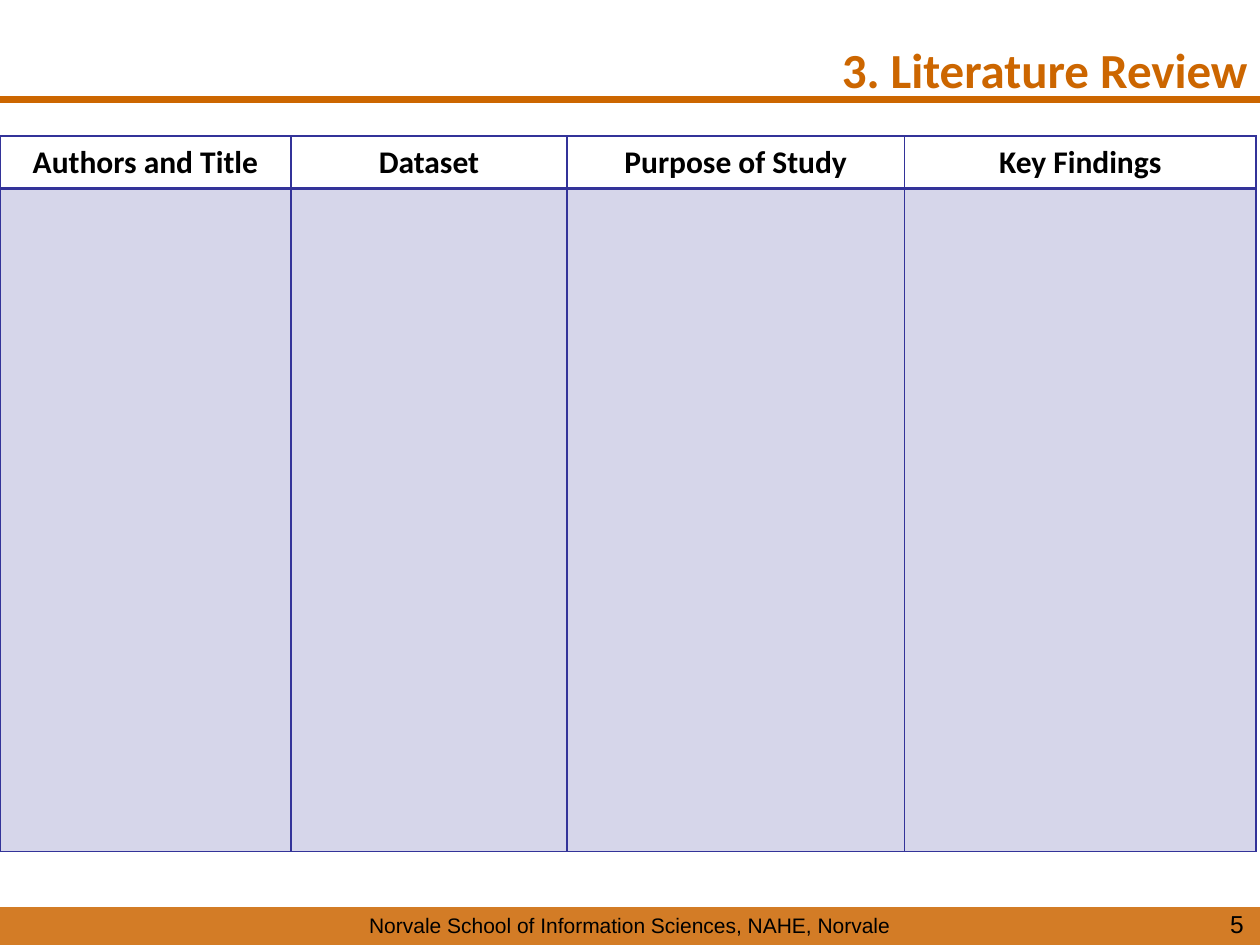
from dataclasses import dataclass

from lxml import etree
from pptx import Presentation
from pptx import util as u
from pptx.dml.color import RGBColor
from pptx.enum import shapes, text
from pptx.oxml.ns import qn


@dataclass(frozen=True)
class Theme:
    accent: str = "CC6600"
    grid: str = "333399"
    ink: str = "000000"
    heading_font: str = "Calibri"
    footer_font: str = "Arial"
    title_size: int = 28
    header_size: int = 18
    footer_size: int = 12
    number_size: int = 14
    rule_width: float = 4.5
    thin: int = 1
    thick: int = 2


THEME = Theme()
WIDTH, HEIGHT = 10, 7.5
FOOTER_TOP, FOOTER_HEIGHT = 0.96 * HEIGHT, 0.04 * HEIGHT
RULE_TOP = 0.79
TABLE_TOP = 1.08
COLUMNS = {
    "Authors and Title": 2.31,
    "Dataset": 2.19,
    "Purpose of Study": 2.68,
    "Key Findings": 2.79,
}
ROWS = (0.42, 5.26)


def color(value):
    return RGBColor.from_string(value)


def fill_solid(fill, value, alpha, parent):
    """Fill with a colour at the given opacity in percent."""
    fill.solid()
    fill.fore_color.rgb = color(value)
    srgb = parent.find(qn("a:solidFill")).find(qn("a:srgbClr"))
    etree.SubElement(srgb, qn("a:alpha"), val=str(alpha * 1000))


def write(frame, words, font, size, value, align, bold=False,
          anchor=text.MSO_ANCHOR.MIDDLE):
    frame.word_wrap = True
    frame.vertical_anchor = anchor
    paragraph = frame.paragraphs[0]
    paragraph.alignment = align
    run = paragraph.add_run()
    run.text = words
    run.font.name, run.font.size, run.font.bold = font, u.Pt(size), bold
    run.font.color.rgb = color(value)


def add_title(slide, words):
    title = slide.shapes.title
    title.left, title.top = u.Inches(0.05 * WIDTH), u.Inches(0.24)
    title.width, title.height = u.Inches(0.95 * WIDTH), u.Inches(0.42)
    frame = title.text_frame
    frame.auto_size = text.MSO_AUTO_SIZE.NONE
    frame.margin_top = u.Inches(0.07)
    write(frame, words, THEME.heading_font, THEME.title_size, THEME.accent,
          text.PP_ALIGN.RIGHT, True, text.MSO_ANCHOR.TOP)


def add_rule(slide):
    rule = slide.shapes.add_connector(
        shapes.MSO_CONNECTOR.STRAIGHT, 0, u.Inches(RULE_TOP),
        u.Inches(WIDTH), u.Inches(RULE_TOP))
    rule.line.color.rgb = color(THEME.accent)
    rule.line.width = u.Pt(THEME.rule_width)
    etree.SubElement(rule._element.spPr, qn("a:effectLst"))


def add_footer_bar(slide):
    bar = slide.shapes.add_shape(
        shapes.MSO_SHAPE.RECTANGLE, 0, u.Inches(FOOTER_TOP),
        u.Inches(WIDTH), u.Inches(FOOTER_HEIGHT))
    bar.shadow.inherit = False
    bar.line.fill.background()
    fill_solid(bar.fill, THEME.accent, 85, bar._element.spPr)


def add_footer_text(slide, words, box, size, align):
    left, top, width, height = map(u.Inches, box)
    frame = slide.shapes.add_textbox(left, top, width, height).text_frame
    write(frame, words, THEME.footer_font, size, THEME.ink, align)


def set_borders(cell, **widths):
    """Draw the cell's sides; line elements come before the fill."""
    properties = cell._tc.get_or_add_tcPr()
    for index, side in enumerate("LRTB"):
        line = etree.Element(qn(f"a:ln{side}"),
                             w=str(u.Pt(widths.get(side, THEME.thin))))
        solid = etree.SubElement(line, qn("a:solidFill"))
        etree.SubElement(solid, qn("a:srgbClr"), val=THEME.grid)
        properties.insert(index, line)


def add_review_table(slide):
    table = slide.shapes.add_table(
        len(ROWS), len(COLUMNS), 0, u.Inches(TABLE_TOP),
        u.Inches(sum(COLUMNS.values())), u.Inches(sum(ROWS))).table
    table.horz_banding = table.first_row = False
    for row, height in zip(table.rows, ROWS):
        row.height = u.Inches(height)
    for index, (heading, width) in enumerate(COLUMNS.items()):
        table.columns[index].width = u.Inches(width)
        header, body = table.cell(0, index), table.cell(1, index)
        header.fill.background()
        header.vertical_anchor = text.MSO_ANCHOR.MIDDLE
        write(header.text_frame, heading, THEME.heading_font,
              THEME.header_size, THEME.ink, text.PP_ALIGN.CENTER, True)
        fill_solid(body.fill, THEME.grid, 20, body._tc.get_or_add_tcPr())
        set_borders(header, B=THEME.thick)
        set_borders(body, T=THEME.thick)


def main():
    presentation = Presentation()
    presentation.slide_width = u.Inches(WIDTH)
    presentation.slide_height = u.Inches(HEIGHT)
    slide = presentation.slides.add_slide(presentation.slide_layouts[5])

    # Heading
    add_rule(slide)
    add_title(slide, "3. Literature Review")

    # Review grid
    add_review_table(slide)

    # Footer
    add_footer_bar(slide)
    add_footer_text(slide,
                    "Norvale School of Information Sciences, NAHE, Norvale",
                    (0, FOOTER_TOP - 0.01, WIDTH, FOOTER_HEIGHT),
                    THEME.footer_size, text.PP_ALIGN.CENTER)
    add_footer_text(slide, "5", (7.64, 7.17, 2.33, 0.33),
                    THEME.number_size, text.PP_ALIGN.RIGHT)

    presentation.save("out.pptx")


if __name__ == "__main__":
    main()
